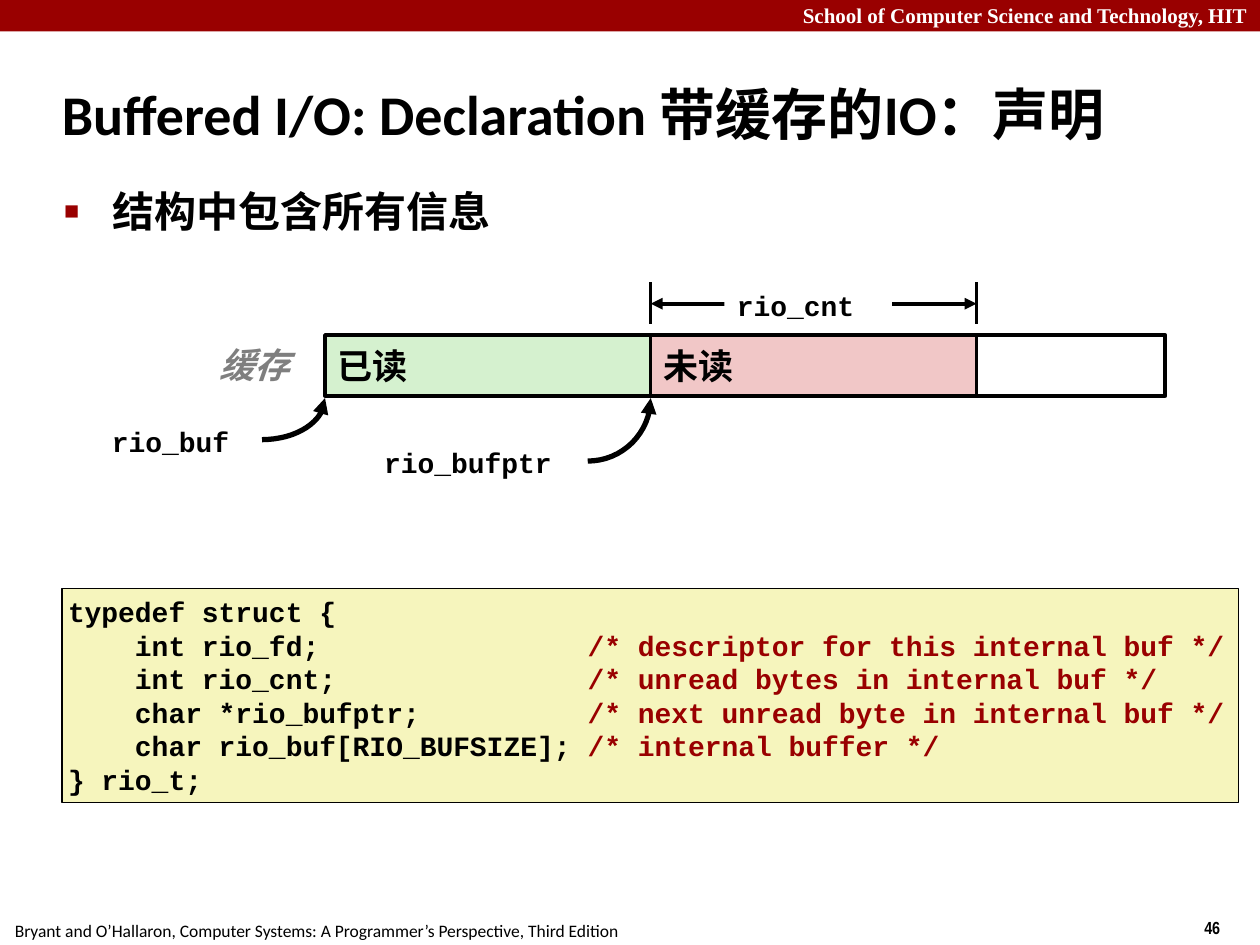
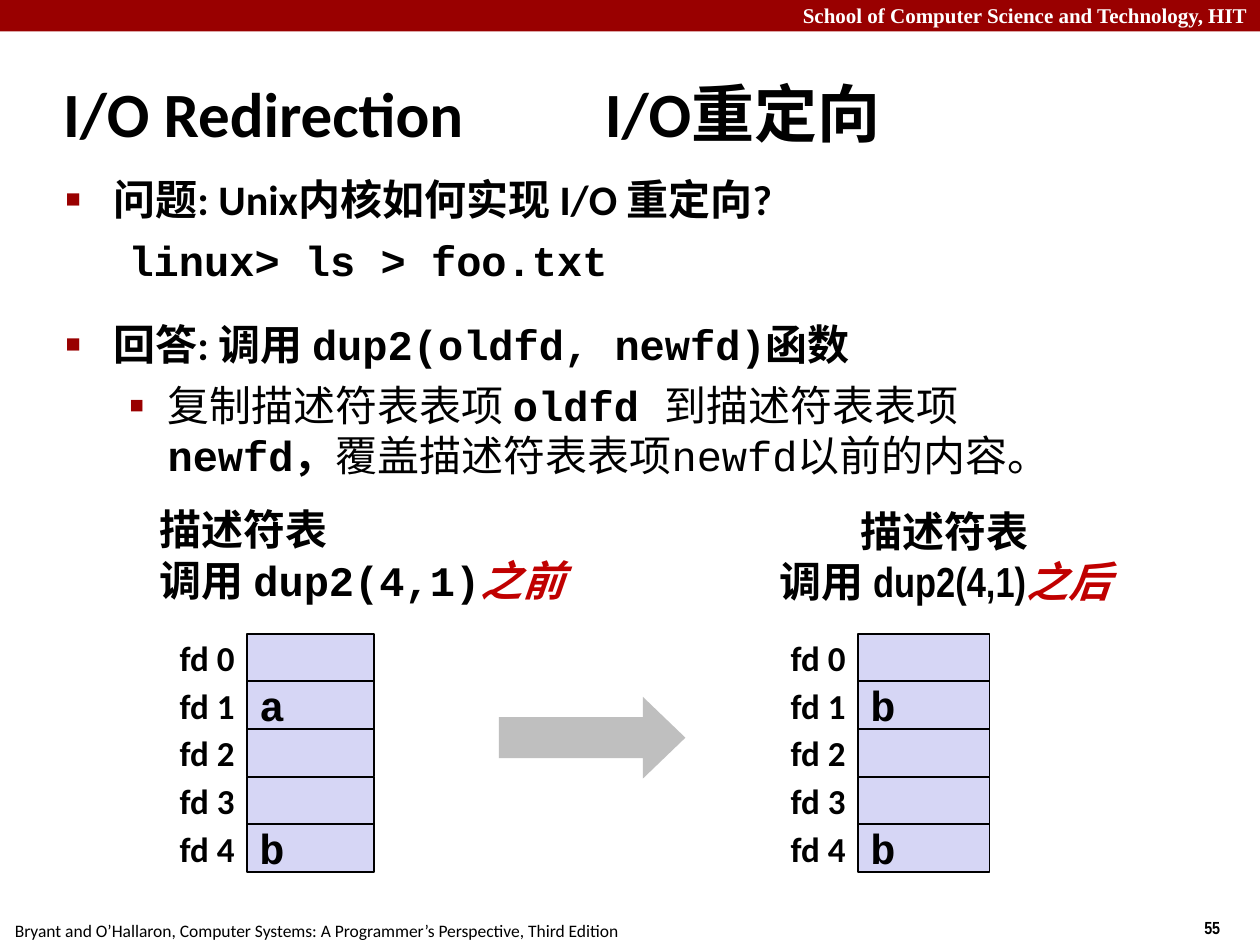
"""Build two lecture slides on buffered I/O and I/O redirection."""
import math

from lxml import etree
from pptx import Presentation
from pptx import util as u
from pptx.dml.color import RGBColor
from pptx.enum import shapes, text
from pptx.oxml.ns import qn

BLACK = RGBColor(0x00, 0x00, 0x00)
WHITE = RGBColor(0xFF, 0xFF, 0xFF)
CRIMSON = RGBColor(0x99, 0x00, 0x00)
RED = RGBColor(0xC0, 0x00, 0x00)
GRAY = RGBColor(0x7F, 0x7F, 0x7F)
SILVER = RGBColor(0xBF, 0xBF, 0xBF)
CREAM = RGBColor(0xF6, 0xF5, 0xBD)
PINK = RGBColor(0xF1, 0xC7, 0xC7)
GREEN = RGBColor(0xD5, 0xF1, 0xCF)
LAVENDER = RGBColor(0xD6, 0xD6, 0xF5)
SANS, NARROW, MONO, SERIF = "Calibri", "Arial Narrow", "Courier New", "Times New Roman"
COLUMNS, ROWS = 100, 75
LEFT, CENTER, RIGHT = text.PP_ALIGN.LEFT, text.PP_ALIGN.CENTER, text.PP_ALIGN.RIGHT
TOP, MIDDLE = text.MSO_ANCHOR.TOP, text.MSO_ANCHOR.MIDDLE
RECT = shapes.MSO_SHAPE.RECTANGLE


def write(paragraph, words, size=24, face=SANS, color=BLACK, bold=True, italic=False):
    """Add one formatted span to a paragraph."""
    span = paragraph.add_run()
    span.text = words
    font = span.font
    font.size, font.name, font.bold, font.italic = u.Pt(size), face, bold, italic
    font.color.rgb = color


def add_child(parent, tag, **attributes):
    """Append an XML child and return it."""
    child = etree.SubElement(parent, qn(tag))
    for name, value in attributes.items():
        child.set(name, str(value))
    return child


class Page:
    """Hold the deck's style and the current slide."""

    def __init__(self, deck):
        """Measure the grid of the deck."""
        self.deck = deck
        self.column = deck.slide_width / COLUMNS
        self.row = deck.slide_height / ROWS

    def area(self, left, top, width, height):
        """Turn grid units into slide lengths."""
        return [round(n * step) for n, step in zip(
            (left, top, width, height), (self.column, self.row) * 2)]

    def start(self, number):
        """Open a slide with its band, header and footer."""
        self.slide = self.deck.slides.add_slide(self.deck.slide_layouts[1])
        self.shape(0, 0, COLUMNS, 2.5, fill=CRIMSON)
        self.label(94.6, 72.3, 5.4, 2.7, number, size=10, face=NARROW)
        self.label(0.2, 72.5, 52, 2.7, "Bryant and O’Hallaron, Computer Systems: "
                   "A Programmer’s Perspective, Third Edition", size=10, bold=False)
        self.label(0, -0.3, COLUMNS, 3, "School of Computer Science and Technology, HIT",
                   align=RIGHT, size=12, face=SERIF, color=WHITE)

    def place(self, box, area, anchor):
        """Move a placeholder and fix its text frame."""
        box.left, box.top, box.width, box.height = self.area(*area)
        frame = box.text_frame
        frame.word_wrap, frame.auto_size = True, text.MSO_AUTO_SIZE.NONE
        frame.vertical_anchor = anchor
        return frame

    def title(self, words, area, size, tab=None):
        """Fill the title, with an optional tab stop."""
        frame = self.place(self.slide.shapes.title, area, MIDDLE)
        paragraph = frame.paragraphs[0]
        paragraph.alignment = LEFT
        if tab:
            stops = add_child(paragraph._p.get_or_add_pPr(), "a:tabLst")
            add_child(stops, "a:tab", pos=round(tab * self.column), algn="l")
        write(paragraph, words, size=size)

    def body(self, area, items):
        """Fill the body with (level, bullet, space before, spans) items."""
        frame = self.place(self.slide.placeholders[1], area, TOP)
        for index, (level, bullet, before, spans) in enumerate(items):
            paragraph = frame.add_paragraph() if index else frame.paragraphs[0]
            paragraph.level = level
            margin, hang = ((3.8, 3.8), (8.1, 3.1))[level]
            properties = paragraph._p.get_or_add_pPr()
            properties.set("marL", str(round(margin * self.column)))
            properties.set("indent", str(round(-hang * self.column)))
            if bullet:
                tint = add_child(properties, "a:buClr")
                add_child(tint, "a:srgbClr", val=CRIMSON)
                add_child(properties, "a:buSzPct", val=(60000, 110000)[level])
                add_child(properties, "a:buChar", char=bullet)
            else:
                add_child(properties, "a:buNone")
            paragraph.space_before = u.Pt(before)
            for words, style in spans:
                write(paragraph, words, **style)

    def fill_text(self, box, lines, align, anchor, inset=1.0, **style):
        """Write a string, or lines of (text, format) spans, in a box."""
        frame = box.text_frame
        frame.word_wrap, frame.vertical_anchor = True, anchor
        frame.margin_left = frame.margin_right = round(inset * self.column)
        frame.margin_top = frame.margin_bottom = round(0.5 * self.row)
        if isinstance(lines, str):
            lines = [[(lines, {})]]
        for index, spans in enumerate(lines):
            paragraph = frame.add_paragraph() if index else frame.paragraphs[0]
            paragraph.alignment = align
            for words, own in spans:
                write(paragraph, words, **{**style, **own})

    def label(self, left, top, width, height, lines, align=LEFT, anchor=TOP, **style):
        """Add a text box."""
        box = self.slide.shapes.add_textbox(*self.area(left, top, width, height))
        self.fill_text(box, lines, align, anchor, **style)

    def paint(self, box, fill, line):
        """Set fill and outline, without a shadow."""
        box.shadow.inherit = False
        if fill is None:
            box.fill.background()
        else:
            box.fill.solid()
            box.fill.fore_color.rgb = fill
        if line:
            box.line.color.rgb, box.line.width = BLACK, u.Pt(line)
        else:
            box.line.fill.background()

    def shape(self, left, top, width, height, lines="", kind=RECT, fill=None, line=0,
              anchor=MIDDLE, **style):
        """Add a preset shape with optional text."""
        box = self.slide.shapes.add_shape(kind, *self.area(left, top, width, height))
        self.paint(box, fill, line)
        if lines:
            self.fill_text(box, lines, LEFT, anchor, **style)
        return box

    def line(self, start, end, width, tips=()):
        """Add a straight line with arrowheads at the given tips."""
        ends = self.area(*start, *end)
        connector = self.slide.shapes.add_connector(shapes.MSO_CONNECTOR.STRAIGHT, *ends)
        connector.line.color.rgb, connector.line.width = BLACK, u.Pt(width)
        self.arrowheads(connector, tips)
        add_child(connector._element.spPr, "a:effectLst")

    def arrowheads(self, stroke, tips):
        """Put triangles on the named line ends."""
        for tip in tips:
            add_child(stroke.line._get_or_add_ln(), f"a:{tip}", type="triangle")

    def pointer(self, tip, width, height, steps=16):
        """Draw a quarter ellipse that rises to an arrow tip."""
        angles = [math.pi / 2 * step / steps for step in range(steps + 1)]
        points = [(round((tip[0] - width + width * math.cos(angle)) * self.column),
                   round((tip[1] + height * math.sin(angle)) * self.row))
                  for angle in angles]
        builder = self.slide.shapes.build_freeform(*points[0])
        builder.add_line_segments(points[1:], close=False)
        curve = builder.convert_to_shape()
        self.paint(curve, None, 3)
        self.arrowheads(curve, ["headEnd"])

    def descriptors(self, left, width, entries):
        """Draw a descriptor table with its fd labels."""
        height = 3.78
        for index, entry in enumerate(entries):
            top = 50.3 + index * height
            self.shape(left, top, width, height, entry, fill=LAVENDER, line=1, face=MONO)
            self.label(left - width, top, width, height, f"fd {index}",
                       align=RIGHT, anchor=MIDDLE, size=20)


def declaration(page):
    """Build the slide on the buffer's declaration."""
    page.start("46")
    page.title("Buffered I/O: Declaration 带缓存的IO：声明", (3.9, 4.8, 91.1, 8.3), 32)
    page.body((4.1, 14.2, 90.9, 6.6), [(0, "■", 0, [("结构中包含所有信息", {})])])

    fields = [("    int rio_fd;                ", "/* descriptor for this internal buf */"),
              ("    int rio_cnt;               ", "/* unread bytes in internal buf */"),
              ("    char *rio_bufptr;          ", "/* next unread byte in internal buf */"),
              ("    char rio_buf[RIO_BUFSIZE]; ", "/* internal buffer */")]
    code = [[("typedef struct {", {})],
            *([(field, {}), (note, {"color": CRIMSON})] for field, note in fields),
            [("} rio_t;", {})]]
    page.shape(4.9, 46.7, 93.4, 17, code, fill=CREAM, line=1, anchor=TOP,
               inset=0.5, size=16, face=MONO)

    start, part, top, height = 25.8, 25.85, 26.6, 4.8
    unread, end, bottom = start + part, start + 2 * part, top + height
    page.shape(unread, top, part, height, "未读", fill=PINK, line=1.5, size=20)
    page.shape(start, top, part, height, "已读", fill=GREEN, line=1.5, size=20)
    page.shape(start, top, 66.7, height, line=2.25)
    page.label(16.4, 26.8, 9, 4.4, "缓存", size=20, color=GRAY, italic=True)
    page.pointer((start, 31.6), 5, 3.3)
    page.pointer((unread, 31.6), 5, 5)
    page.label(7.9, 33.2, 12, 3.7, "rio_buf", size=16, face=MONO)
    page.label(29.5, 34.9, 17.5, 3.7, "rio_bufptr", size=16, face=MONO)
    for edge in (unread, end):
        page.line((edge, 25.7), (edge, 22.4), 1.5)
    page.line((unread, 24.1), (end, 24.1), 2.25, ["headEnd", "tailEnd"])
    page.shape(57.5, 22.4, 13.3, 3.7, "rio_cnt", fill=WHITE, anchor=TOP, size=16, face=MONO)


def redirection(page):
    """Build the slide on redirection with dup2."""
    page.start("55")
    page.title("I/O Redirection\tI/O重定向", (4, 4.8, 83, 8.3), 36, tab=43)
    mono, plain = {"face": MONO}, {"bold": False}
    page.body((4.2, 13.3, 85, 26.2), [
        (0, "■", 0, [("问题: Unix内核如何实现 I/O 重定向?", {})]),
        (1, "", 6, [("linux> ls > foo.txt", mono)]),
        (0, "■", 19, [("回答: 调用 ", {}), ("dup2(oldfd, newfd)", mono), ("函数", {})]),
        (1, "▪", 6, [("复制描述符表表项 ", plain), ("oldfd ", mono),
                     ("到描述符表表项 ", plain), ("newfd，", mono),
                     ("覆盖描述符表表项newfd以前的内容。", {**mono, **plain})])])

    accent = {"color": RED, "italic": True}
    page.descriptors(19.6, 10.1, ["", "a", "", "", "b"])
    page.label(11.7, 39.5, 38, 9, [
        [("描述符表", {})],
        [("调用 ", {}), ("dup2(4,1)", mono), ("之前", accent)]], anchor=MIDDLE)
    page.descriptors(68.1, 10.45, ["", "b", "", "", "b"])
    page.label(60.6, 37.6, 28.8, 13, [
        [("描述符表", {})],
        [("调用 dup2(4,1)", {}), ("之后", accent)]],
        align=CENTER, anchor=MIDDLE, face=NARROW)
    arrow = page.shape(39.6, 55.3, 14.8, 6.5, kind=shapes.MSO_SHAPE.RIGHT_ARROW, fill=SILVER)
    arrow.adjustments[1] = 0.52


def main():
    """Build and save the deck."""
    deck = Presentation()
    deck.slide_width, deck.slide_height = u.Inches(10), u.Inches(7.5)
    page = Page(deck)
    declaration(page)
    redirection(page)
    deck.save("out.pptx")


if __name__ == "__main__":
    main()
